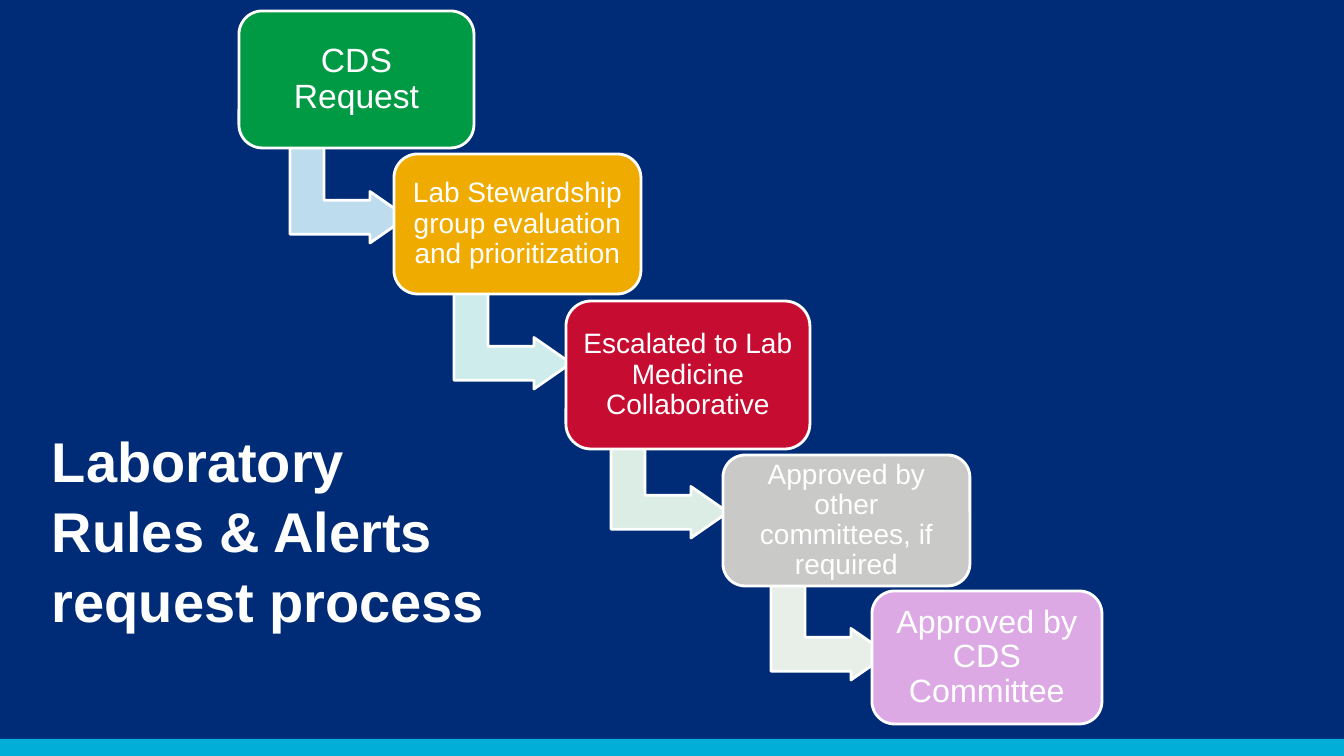
import pptx
import pptx.dml.color
import pptx.enum.shapes
import pptx.enum.text
import pptx.util

THEME = {
    "font": "Arial", "text": "FFFFFF", "outline": "FFFFFF", "outline_pt": 2,
    "background": "002C77", "footer": "00AED7", "title_pt": 40,
}
SLIDE_W, SLIDE_H, FOOTER_TOP = 1344, 756, 739
TITLE = "Laboratory Rules & Alerts request process"
TITLE_BOX = (42, 419, 472, 214)

# text, box (left, top, width, height), fill, type size, inset
STEPS = [
    ("CDS Request", (239, 11, 235, 137), "009944", 24, 11),
    ("Lab Stewardship group evaluation and prioritization",
     (394, 154, 247, 140), "F0AB00", 20, 8),
    ("Escalated to Lab Medicine Collaborative",
     (566, 301, 244, 148), "C60C30", 20, 8),
    ("Approved by other committees, if required",
     (723, 455, 247, 131), "C9CAC8", 20, 8),
    ("Approved by CDS Committee", (872, 591, 230, 133), "DCA9E5", 23, 10),
]
# left and top before the quarter turn, fill
ARROWS = [
    (297, 133, "BDDCED"),
    (461, 279, "CDECEB"),
    (618, 428, "DBEDE5"),
    (778, 570, "E8EFE9"),
]
ARROW_SIZE = (103, 117)
ARROW_ADJ = (0.33, 0.25, 0.36)

MSO = pptx.enum.shapes.MSO_SHAPE
ANCHOR = pptx.enum.text.MSO_ANCHOR
ALIGN = pptx.enum.text.PP_ALIGN


def px(n):
    return pptx.util.Inches(n / 100.8)


def rgb(value):
    return pptx.dml.color.RGBColor.from_string(value)


def add_shape(slide, kind, box, fill, outlined=True, adj=()):
    sp = slide.shapes.add_shape(kind, *map(px, box))
    sp.shadow.inherit = False
    sp.fill.solid()
    sp.fill.fore_color.rgb = rgb(fill)
    if outlined:
        sp.line.color.rgb = rgb(THEME["outline"])
        sp.line.width = pptx.util.Pt(THEME["outline_pt"])
    else:
        sp.line.fill.background()
    for i, value in enumerate(adj):
        sp.adjustments[i] = value
    return sp


def set_text(sp, text, size, align, spacing, bold=False):
    tf = sp.text_frame
    tf.text = text
    tf.word_wrap = True
    p = tf.paragraphs[0]
    p.alignment = align
    p.line_spacing = spacing
    font = p.runs[0].font
    font.name = THEME["font"]
    font.size = pptx.util.Pt(size)
    font.bold = bold
    font.color.rgb = rgb(THEME["text"])
    return tf


def add_step(slide, text, box, fill, size, inset):
    sp = add_shape(slide, MSO.ROUNDED_RECTANGLE, box, fill, adj=(0.17,))
    tf = set_text(sp, text, size, ALIGN.CENTER, 0.9)
    tf.vertical_anchor = ANCHOR.MIDDLE
    tf.margin_left = tf.margin_right = px(inset)
    tf.margin_top = tf.margin_bottom = px(inset)


def main():
    prs = pptx.Presentation()
    prs.slide_width, prs.slide_height = px(SLIDE_W), px(SLIDE_H)
    slide = prs.slides.add_slide(prs.slide_layouts[6])

    add_shape(slide, MSO.RECTANGLE, (0, 0, SLIDE_W, FOOTER_TOP),
              THEME["background"], outlined=False)
    add_shape(slide, MSO.RECTANGLE,
              (0, FOOTER_TOP, SLIDE_W, SLIDE_H - FOOTER_TOP),
              THEME["footer"], outlined=False)

    for i, step in enumerate(STEPS):
        if i < len(ARROWS):
            left, top, fill = ARROWS[i]
            arrow = add_shape(slide, MSO.BENT_UP_ARROW,
                              (left, top, *ARROW_SIZE), fill, adj=ARROW_ADJ)
            arrow.rotation = 90
        add_step(slide, *step)

    title = slide.shapes.add_textbox(*map(px, TITLE_BOX))
    set_text(title, TITLE, THEME["title_pt"], ALIGN.LEFT, 1.04, bold=True)

    prs.save("out.pptx")


if __name__ == "__main__":
    main()
